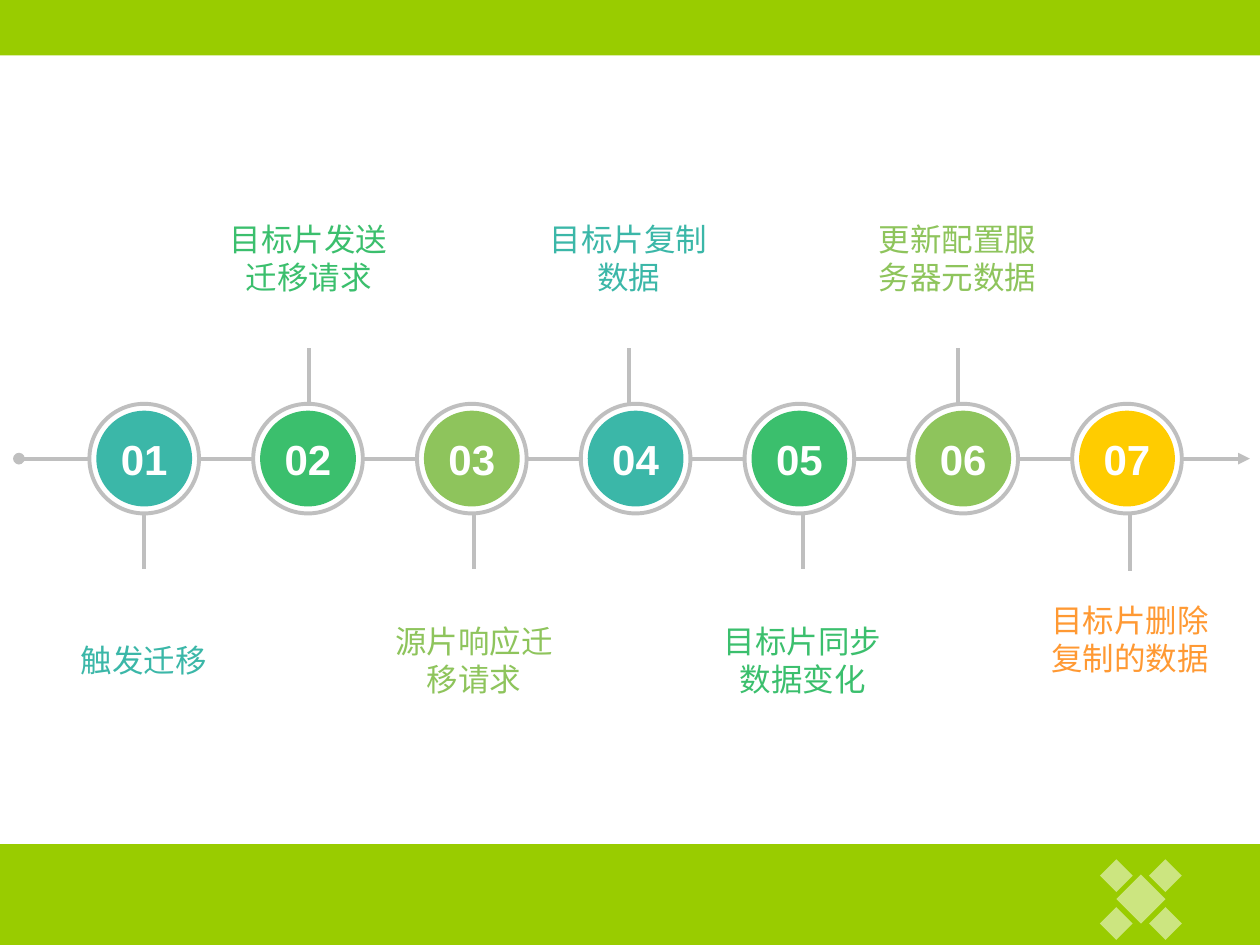
"""Build a seven-step timeline slide of a data migration."""
import pptx
import pptx.dml.color
import pptx.enum.shapes
import pptx.enum.text
import pptx.oxml
import pptx.oxml.ns
import pptx.util

Inches = pptx.util.Inches
SHAPE = pptx.enum.shapes.MSO_SHAPE
TEAL, GREEN, LIME, GREY, WHITE, BAND = "3BB7A8", "3BBF6D", "8EC45C", "BFBFBF", "FFFFFF", "99CC00"

# label, disc colour, label colour, stem x, stem from/to y, label centre x, label top
STEPS = [
    ("触发迁移", TEAL, TEAL, 1.14, (4.07, 4.52), 1.14, 4.57),
    ("目标片发送迁移请求", GREEN, GREEN, 2.45, (3.2, 2.76), 2.45, 1.38),
    ("源片响应迁移请求", LIME, LIME, 3.76, (4.07, 4.52), 3.76, 4.57),
    ("目标片复制数据", TEAL, TEAL, 4.99, (3.2, 2.76), 4.99, 1.38),
    ("目标片同步数据变化", GREEN, GREEN, 6.37, (4.07, 4.52), 6.37, 4.57),
    ("更新配置服务器元数据", LIME, LIME, 7.6, (3.2, 2.76), 7.6, 1.38),
    ("目标片删除复制的数据", "FFCC00", "FF9933", 8.97, (4.08, 4.53), 8.97, 4.4),
]
BANDS = [(-0.03, 0.47), (6.7, 0.8)]
DIAMONDS = [(8.86, 6.94, 0.39)] + [(x, y, 0.26) for y in (7.2, 6.82) for x in (8.73, 9.12)]
AXIS_Y, FIRST_X, PITCH, RING, DISC = 3.64, 0.71, 1.3, 0.87, 0.76
LABEL_W, LABEL_H = 1.48, 1.34


def rgb(color):
    return pptx.dml.color.RGBColor.from_string(color)


def add_shape(s, kind, x, y, w, h, fill=None, line=None, alpha=None):
    sp = s.shapes.add_shape(kind, *map(Inches, (x, y, w, h)))
    sp.shadow.inherit = False
    if fill:
        sp.fill.solid()
        sp.fill.fore_color.rgb = rgb(fill)
    else:
        sp.fill.background()
    if line:
        sp.line.color.rgb = rgb(line)
        sp.line.width = pptx.util.Pt(2.25)
    else:
        sp.line.fill.background()
    if alpha:
        clr = sp.fill._xPr.find(".//" + pptx.oxml.ns.qn("a:srgbClr"))
        clr.append(pptx.oxml.parse_xml(
            f'<a:alpha {pptx.oxml.ns.nsdecls("a")} val="{alpha * 1000}"/>'))
    return sp


def add_line(s, x1, y1, x2, y2, end=None, kind=None):
    cx = s.shapes.add_connector(pptx.enum.shapes.MSO_CONNECTOR.STRAIGHT,
                                *map(Inches, (x1, y1, x2, y2)))
    cx.line.color.rgb = rgb(GREY)
    cx.line.width = pptx.util.Pt(2.25)
    ns = pptx.oxml.ns.nsdecls("a")
    if end:
        cx.line._get_or_add_ln().append(pptx.oxml.parse_xml(f'<a:{end} {ns} type="{kind}"/>'))
    cx._element.spPr.append(pptx.oxml.parse_xml(f"<a:effectLst {ns}/>"))


def set_text(sp, text, color, size, bold=False):
    tf = sp.text_frame
    frame = {"word_wrap": True, "vertical_anchor": pptx.enum.text.MSO_ANCHOR.MIDDLE,
             "margin_left": 0, "margin_right": 0, "margin_top": 0, "margin_bottom": 0}
    for name, value in frame.items():
        setattr(tf, name, value)
    p = tf.paragraphs[0]
    p.alignment = pptx.enum.text.PP_ALIGN.CENTER
    r = p.add_run()
    r.text = text
    for name, value in {"name": "Arial", "size": pptx.util.Pt(size), "bold": bold}.items():
        setattr(r.font, name, value)
    r.font.color.rgb = rgb(color)


def main():
    prs = pptx.Presentation()
    prs.slide_width, prs.slide_height = Inches(10), Inches(7.5)
    s = prs.slides.add_slide(prs.slide_layouts[6])

    for y, h in BANDS:
        add_shape(s, SHAPE.RECTANGLE, 0, y, 10, h, BAND)
    for x, y, size in DIAMONDS:
        add_shape(s, SHAPE.DIAMOND, x, y, size, size, WHITE, alpha=50)

    last = len(STEPS) - 1
    add_line(s, 0.15, AXIS_Y, FIRST_X, AXIS_Y, "headEnd", "oval")
    for i, (label, fill, color, stem_x, stem, label_x, label_y) in enumerate(STEPS):
        x = FIRST_X + i * PITCH
        right = x + RING
        if i < last:
            add_line(s, right, AXIS_Y, x + PITCH, AXIS_Y)
        else:
            add_line(s, right, AXIS_Y, 9.92, AXIS_Y, "tailEnd", "triangle")
        add_line(s, stem_x, stem[0], stem_x, stem[1])
        add_shape(s, SHAPE.OVAL, x, AXIS_Y - RING / 2, RING, RING, line=GREY)
        disc = add_shape(s, SHAPE.OVAL, x + (RING - DISC) / 2, AXIS_Y - DISC / 2,
                         DISC, DISC, fill)
        set_text(disc, f"{i + 1:02d}", WHITE, 24, True)
        box = s.shapes.add_textbox(*map(Inches, (label_x - LABEL_W / 2, label_y,
                                                 LABEL_W, LABEL_H)))
        set_text(box, label, color, 18)

    prs.save("out.pptx")


if __name__ == "__main__":
    main()
